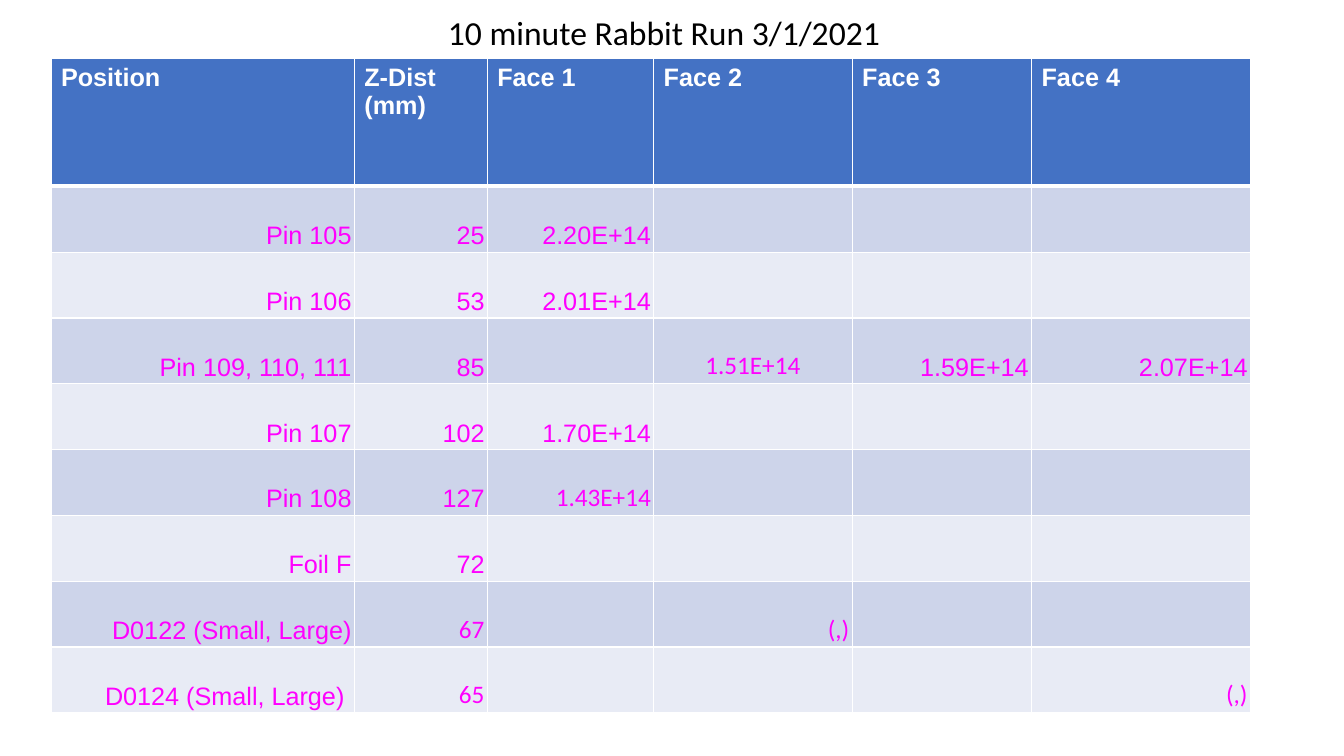
from dataclasses import dataclass

from lxml import etree
from pptx import Presentation
from pptx.dml.color import RGBColor
from pptx.enum.text import MSO_ANCHOR, MSO_AUTO_SIZE, PP_ALIGN
from pptx.oxml.ns import qn
from pptx.util import Pt

LEFT, CENTER, RIGHT = PP_ALIGN.LEFT, PP_ALIGN.CENTER, PP_ALIGN.RIGHT
TOP, BOTTOM = MSO_ANCHOR.TOP, MSO_ANCHOR.BOTTOM
FIT_SHAPE = MSO_AUTO_SIZE.SHAPE_TO_FIT_TEXT
TITLE_ONLY = 5


@dataclass(frozen=True)
class Theme:
    """Colours, fonts and type sizes of the slide."""
    title_color: str = "000000"
    header_fill: str = "4472C4"
    header_text: str = "FFFFFF"
    bands: tuple = ("CDD4EA", "E8EBF5")
    body_text: str = "FF00FF"
    border: str = "FFFFFF"
    title_font: str = "Calibri"
    table_font: str = "Arial"
    title_size: int = 24
    table_size: int = 18


THEME = Theme()
HEADERS = ["Position", "Z-Dist (mm)", "Face 1", "Face 2", "Face 3", "Face 4"]
READINGS = [
    ["Pin 105", "25", "2.20E+14", "", "", ""],
    ["Pin 106", "53", "2.01E+14", "", "", ""],
    ["Pin 109, 110, 111", "85", "", "1.51E+14", "1.59E+14", "2.07E+14"],
    ["Pin 107", "102", "1.70E+14", "", "", ""],
    ["Pin 108", "127", "1.43E+14", "", "", ""],
    ["Foil F", "72", "", "", "", ""],
    ["D0122 (Small, Large)", "67", "", "(,)", "", ""],
    ["D0124 (Small, Large) ", "65", "", "", "", "(,)"],
]
CALIBRI_VALUES = {"1.51E+14", "1.43E+14", "67", "65", "(,)"}
CENTERED_VALUES = {"1.51E+14"}
COLUMN_WIDTHS = [216.7, 95, 118.8, 141.8, 128.2, 156.3]
HEADER_HEIGHT = 91.3
RULE, HEADER_RULE = 1, 3


def format_para(para, font, size, color, align, bold=False):
    """Align a paragraph and style its runs."""
    para.alignment = align
    for span in para.runs:
        span.font.name = font
        span.font.size = Pt(size)
        span.font.bold = bold
        span.font.color.rgb = RGBColor.from_string(color)


def set_margins(frame, across, down):
    """Set equal side margins and equal top and bottom margins."""
    frame.margin_left = frame.margin_right = Pt(across)
    frame.margin_top = frame.margin_bottom = Pt(down)


def set_borders(cell, top, bottom):
    """Draw the four cell borders, with own widths at top and bottom."""
    properties = cell._tc.get_or_add_tcPr()
    widths = {"a:lnL": RULE, "a:lnR": RULE, "a:lnT": top, "a:lnB": bottom}
    for index, (tag, width) in enumerate(widths.items()):
        line = etree.Element(qn(tag), w=str(Pt(width)))
        fill = etree.SubElement(line, qn("a:solidFill"))
        etree.SubElement(fill, qn("a:srgbClr"), val=THEME.border)
        properties.insert(index, line)


def fill_cell(cell, text, row):
    """Write and style one cell as header or banded reading."""
    header = row == 0
    cell.text = text
    fill = THEME.header_fill if header else THEME.bands[(row - 1) % 2]
    cell.fill.solid()
    cell.fill.fore_color.rgb = RGBColor.from_string(fill)
    set_borders(cell, HEADER_RULE if row == 1 else RULE,
                HEADER_RULE if header else RULE)
    set_margins(cell, *((7.2, 3.6) if header else (2, 1.5)))
    cell.vertical_anchor = TOP if header else BOTTOM
    font = THEME.title_font if text in CALIBRI_VALUES else THEME.table_font
    color = THEME.header_text if header else THEME.body_text
    align = LEFT if header else CENTER if text in CENTERED_VALUES else RIGHT
    format_para(cell.text_frame.paragraphs[0], font, THEME.table_size,
                color, align, header)


def add_title(page, box, text):
    """Place the slide title, centred left of the box middle."""
    title = page.shapes.title
    title.left, title.top, title.width, title.height = map(Pt, box)
    frame = title.text_frame
    frame.text = text
    frame.word_wrap = True
    frame.auto_size = FIT_SHAPE
    frame.vertical_anchor = TOP
    set_margins(frame, 7.2, 3.6)
    frame.margin_right = Pt(50)
    format_para(frame.paragraphs[0], THEME.title_font, THEME.title_size,
                THEME.title_color, CENTER)


def add_readings(page, box):
    """Place the readings table, with equal rows below the header."""
    rows = [HEADERS] + READINGS
    table = page.shapes.add_table(len(rows), len(HEADERS), *map(Pt, box)).table
    for column, width in zip(table.columns, COLUMN_WIDTHS):
        column.width = Pt(width)
    row_height = (box[3] - HEADER_HEIGHT) / len(READINGS)
    for row, texts in enumerate(rows):
        table.rows[row].height = Pt(row_height if row else HEADER_HEIGHT)
        for column, text in enumerate(texts):
            fill_cell(table.cell(row, column), text, row)


def build_deck():
    """Build the one-slide deck and save it."""
    deck = Presentation()
    deck.slide_width, deck.slide_height = Pt(960), Pt(540)
    page = deck.slides.add_slide(deck.slide_layouts[TITLE_ONLY])
    add_readings(page, (36.4, 41.8, sum(COLUMN_WIDTHS), 467.3))
    add_title(page, (107.3, 5, 776.9, 36), "10 minute Rabbit Run 3/1/2021")
    deck.save("out.pptx")


build_deck()
